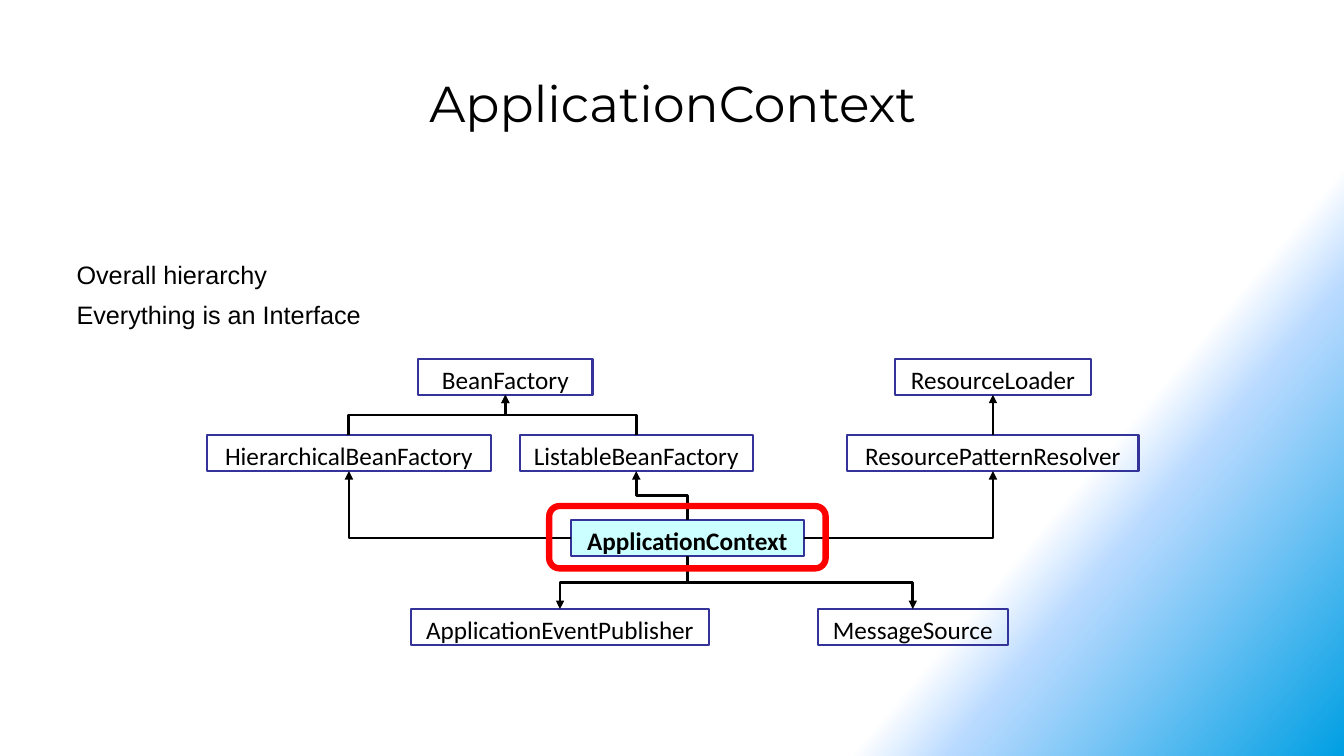
from dataclasses import dataclass

from lxml import etree
from pptx import Presentation
from pptx import util as u
from pptx.dml.color import RGBColor
from pptx.enum import shapes, text
from pptx.oxml import parse_xml
from pptx.oxml.ns import nsdecls, qn


@dataclass(frozen=True)
class Theme:
    ink: str = "000000"
    border: str = "333399"
    focus_fill: str = "CCFFFF"
    highlight: str = "FF0000"
    background: tuple = ((75, "FFFFFF"), (80, "B9DAFF"), (100, "009FE3"))
    background_angle: int = 40
    title_font: str = "Montserrat"
    body_font: str = "Arial"
    box_font: str = "Calibri"
    title_size: float = 36
    text_size: float = 18


def write_text(frame, content, *, font, size, color, bold=False,
               align=text.PP_ALIGN.LEFT, space_after=0):
    """Fill a text frame with one paragraph per line of content."""
    frame.text = content
    frame.vertical_anchor = text.MSO_ANCHOR.TOP
    frame.auto_size = text.MSO_AUTO_SIZE.NONE
    for paragraph in frame.paragraphs:
        paragraph.alignment = align
        paragraph.space_before = u.Pt(0)
        paragraph.space_after = u.Pt(space_after)
        paragraph.font.name = font
        paragraph.font.size = u.Pt(size)
        paragraph.font.bold = bold
        paragraph.font.color.rgb = RGBColor.from_string(color)


@dataclass(frozen=True)
class Box:
    center: float
    top: float
    width: float
    height: float = 25.5

    @property
    def left(self):
        return self.center - self.width / 2

    @property
    def right(self):
        return self.center + self.width / 2

    @property
    def bottom(self):
        return self.top + self.height

    @property
    def middle(self):
        return self.top + self.height / 2


class HierarchySlide:
    def __init__(self, presentation, theme):
        self.theme = theme
        self.slide = presentation.slides.add_slide(presentation.slide_layouts[1])

    def background(self):
        fill = self.slide.background.fill
        fill.gradient()
        fill.gradient_angle = 0
        gradient = self.slide.background._cSld.find(".//" + qn("a:gradFill"))
        stops = "".join(
            f'<a:gs pos="{position * 1000}"><a:srgbClr val="{color}"/></a:gs>'
            for position, color in self.theme.background)
        gradient.replace(gradient.find(qn("a:gsLst")),
                         parse_xml(f'<a:gsLst {nsdecls("a")}>{stops}</a:gsLst>'))
        direction = gradient.find(qn("a:lin"))
        direction.set("ang", str(self.theme.background_angle * 60000))
        direction.set("scaled", "0")

    def place(self, shape, left, top, width, height):
        shape.left, shape.top = u.Pt(left), u.Pt(top)
        shape.width, shape.height = u.Pt(width), u.Pt(height)

    def title(self, content, *area):
        shape = self.slide.shapes.title
        self.place(shape, *area)
        write_text(shape.text_frame, content, font=self.theme.title_font,
                   size=self.theme.title_size, color=self.theme.ink,
                   align=text.PP_ALIGN.CENTER)

    def body(self, lines, *area):
        shape = self.slide.placeholders[1]
        self.place(shape, *area)
        write_text(shape.text_frame, "\n".join(lines), font=self.theme.body_font,
                   size=self.theme.text_size, color=self.theme.ink, space_after=7)
        for paragraph in shape.text_frame.paragraphs:
            properties = paragraph._p.get_or_add_pPr()
            properties.set("marL", "0")
            properties.set("indent", "0")
            bullet = etree.Element(qn("a:buNone"))
            properties.find(qn("a:spcAft")).addnext(bullet)

    def outline(self, kind, box, color, weight, fill=None):
        shape = self.slide.shapes.add_shape(
            kind, u.Pt(box.left), u.Pt(box.top), u.Pt(box.width), u.Pt(box.height))
        shape.shadow.inherit = False
        shape.line.color.rgb = RGBColor.from_string(color)
        shape.line.width = u.Pt(weight)
        if fill:
            shape.fill.solid()
            shape.fill.fore_color.rgb = RGBColor.from_string(fill)
        else:
            shape.fill.background()
        return shape

    def interface(self, name, box, focus=False):
        shape = self.outline(shapes.MSO_SHAPE.RECTANGLE, box, self.theme.border, 1.5,
                             self.theme.focus_fill if focus else None)
        frame = shape.text_frame
        frame.word_wrap = False
        frame.margin_bottom = u.Pt(0)
        write_text(frame, name, font=self.theme.box_font, size=self.theme.text_size,
                   color=self.theme.ink, bold=focus, align=text.PP_ALIGN.CENTER)

    def arrow(self, kind, x1, y1, x2, y2):
        connector = self.slide.shapes.add_connector(
            kind, u.Pt(x1), u.Pt(y1), u.Pt(x2), u.Pt(y2))
        connector.line.color.rgb = RGBColor.from_string(self.theme.ink)
        connector.line.width = u.Pt(2)
        line = connector.line._get_or_add_ln()
        etree.SubElement(line, qn("a:tailEnd"), type="triangle")
        properties = connector._element.spPr
        etree.SubElement(properties, qn("a:effectLst"))
        return properties

    def straight(self, x1, y1, x2, y2):
        self.arrow(shapes.MSO_CONNECTOR.STRAIGHT, x1, y1, x2, y2)

    def step(self, x1, y1, x2, y2):
        """Vertical, across at half height, vertical again."""
        half_run, half_rise = abs(y2 - y1) / 2, abs(x2 - x1) / 2
        x, y = (x1 + x2) / 2, (y1 + y2) / 2
        up, right = y2 < y1, x2 > x1
        frame = self.arrow(shapes.MSO_CONNECTOR.ELBOW, x - half_run, y - half_rise,
                           x + half_run, y + half_rise).find(qn("a:xfrm"))
        frame.set("rot", str((270 if up != right else 90) * 60000))
        frame.set("flipH", str(int(right)))
        frame.set("flipV", str(int(up)))

    def corner(self, x1, y1, x2, y2):
        """Sideways, then up."""
        properties = self.arrow(shapes.MSO_CONNECTOR.ELBOW,
                                min(x1, x2), y2, max(x1, x2), y1)
        properties.find(qn("a:prstGeom")).set("prst", "bentConnector2")
        frame = properties.find(qn("a:xfrm"))
        if x2 < x1:
            frame.set("rot", str(180 * 60000))
        else:
            frame.set("flipV", "1")


def main():
    presentation = Presentation()
    presentation.slide_width, presentation.slide_height = u.Pt(960), u.Pt(540)
    page = HierarchySlide(presentation, Theme())
    page.background()

    # Title and list
    page.title("ApplicationContext", 47.5, 48.25, 866, 88)
    page.body(["Overall hierarchy", "Everything is an Interface"],
              47.5, 181.5, 866, 312.5)

    # Interfaces, by row
    root, parent, focus, child = 256.5, 311, 371.5, 435
    boxes = {
        "BeanFactory": Box(361, root, 124.5),
        "HierarchicalBeanFactory": Box(249.25, parent, 203),
        "ListableBeanFactory": Box(454.5, parent, 166.5),
        "ApplicationEventPublisher": Box(400, child, 213),
        "MessageSource": Box(652, child, 135.5),
        "ApplicationContext": Box(491, focus, 166.5),
        "ResourcePatternResolver": Box(709.25, parent, 208),
        "ResourceLoader": Box(709.25, root, 140.5),
    }
    for name, box in boxes.items():
        page.interface(name, box, focus=name == "ApplicationContext")
    (bean, hierarchical, listable, publisher, message,
     context, resolver, loader) = boxes.values()

    # Arrows
    for lower, upper in ((context, listable), (listable, bean), (hierarchical, bean)):
        page.step(lower.center, lower.top, upper.center, upper.bottom)
    for target in (publisher, message):
        page.step(context.center, context.bottom, target.center, target.top)
    page.corner(context.left, context.middle, hierarchical.center, hierarchical.bottom)
    page.corner(context.right, context.middle, resolver.center, resolver.bottom)
    page.straight(resolver.center, resolver.top, loader.center, loader.bottom)

    # Highlight
    page.outline(shapes.MSO_SHAPE.ROUNDED_RECTANGLE, Box(491, 361.5, 197.5, 44.5),
                 page.theme.highlight, 4.5)
    presentation.save("out.pptx")


if __name__ == "__main__":
    main()
